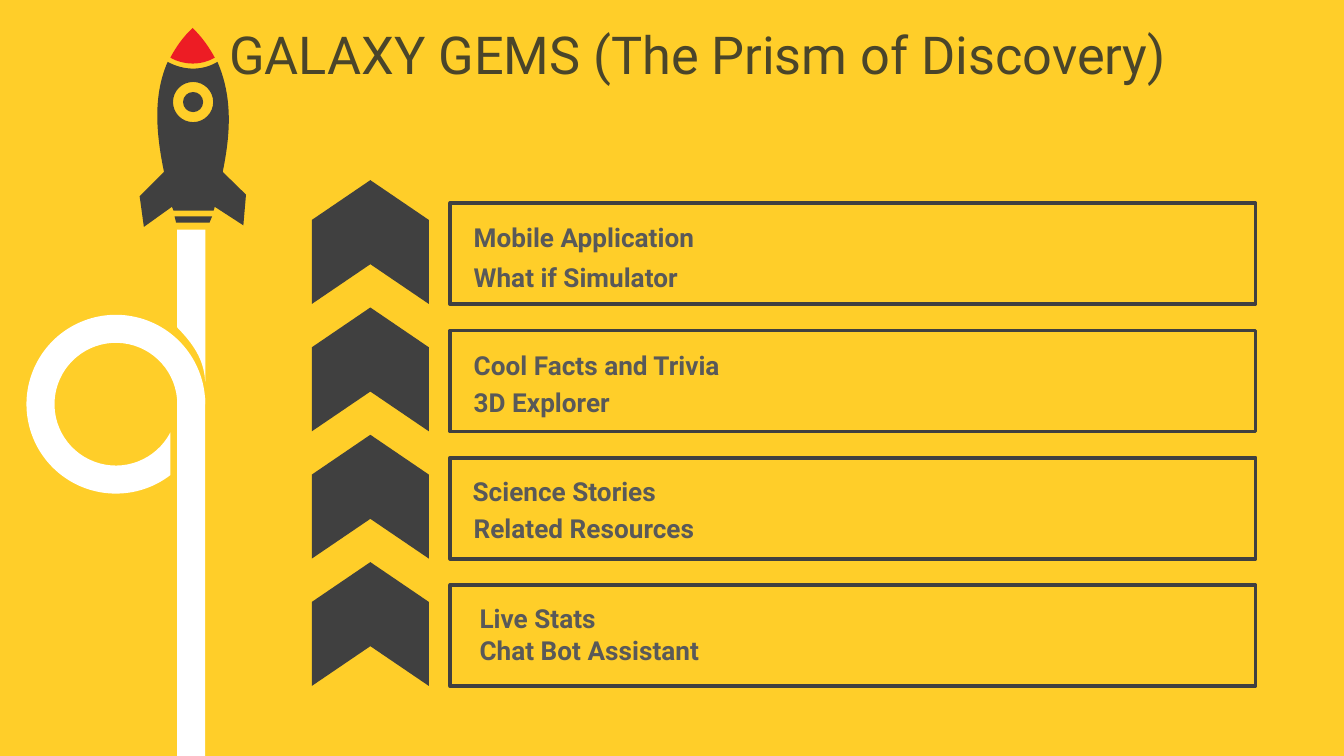
"""Build a rocket slide with four chevron steps."""
import math

from pptx import Presentation
from pptx import util as u
from pptx.dml.color import RGBColor
from pptx.enum import shapes, text
from pptx.oxml import ns

COLORS = {"bg": "FFCE29", "dark": "404040", "white": "FFFFFF",
          "red": "ED1C24", "body": "595959", "title": "4A452A"}
LABEL = {"size": u.Pt(14), "bold": True, "name": "Roboto"}
TITLE = {"size": u.Pt(28), "bold": False, "name": "Roboto"}
LABEL_FRAME = {"word_wrap": True, "auto_size": text.MSO_AUTO_SIZE.SHAPE_TO_FIT_TEXT,
               "vertical_anchor": text.MSO_ANCHOR.MIDDLE}
TITLE_FRAME = {"word_wrap": True, "auto_size": text.MSO_AUTO_SIZE.NONE,
               "vertical_anchor": text.MSO_ANCHOR.TOP}
STEPS = [
    [(["Mobile Application"], 0.15, 0.18, 0.89),
     (["What if Simulator"], 0.15, 0.94, 0.89)],
    [(["Cool Facts and Trivia"], 0.15, 0.18, 0.89),
     (["3D Explorer"], 0.15, 0.89, 0.89)],
    [(["Science Stories"], 0.13, 0.16, 0.89),
     (["Related Resources"], 0.15, 0.87, 0.89)],
    [(["Live Stats", "Chat Bot Assistant"], 0.23, 0.13, 1.52)],
]


def rgb(name):
    """Return the named colour."""
    return RGBColor.from_string(COLORS[name])


def apply(obj, values):
    """Set attributes of an object from a dict."""
    for key, value in values.items():
        setattr(obj, key, value)


def style(sp, fill=None, line=None):
    """Set fill and outline, and remove the shadow."""
    sp.shadow.inherit = False
    if fill:
        sp.fill.solid()
        sp.fill.fore_color.rgb = rgb(fill)
    else:
        sp.fill.background()
    if line:
        sp.line.color.rgb = rgb(line)
        sp.line.width = u.Pt(2)
    else:
        sp.line.fill.background()


def add_shape(parent, kind, box, **look):
    """Add a styled preset shape in a box given in centimetres."""
    sp = parent.shapes.add_shape(kind, *map(u.Cm, box))
    style(sp, **look)
    return sp


def write(sp, lines, frame, font, color):
    """Fill a shape with left-aligned paragraphs."""
    tf = sp.text_frame
    apply(tf, frame)
    tf.text = "\n".join(lines)
    for p in tf.paragraphs:
        p.alignment = text.PP_ALIGN.LEFT
        for r in p.runs:
            apply(r.font, font)
            r.font.color.rgb = rgb(color)


def arc(cx, cy, radius, start, end):
    """Return a start point and the Bezier segments of a circular arc."""
    count = math.ceil(abs(end - start) / (math.pi / 2) - 0.01)
    step = (end - start) / count
    k = 4 / 3 * math.tan(step / 4)

    def at(angle, tangent=0):
        c, n = math.cos(angle), math.sin(angle)
        return cx + radius * (c - tangent * n), cy + radius * (n + tangent * c)

    angles = [start + step * i for i in range(count)]
    return [[at(start)]] + [[at(a, k), at(a + step, -k), at(a + step)] for a in angles]


def add_outline(s, x, y, contours, fill):
    """Add a freeform whose segments hold one point (line) or three (curve)."""
    fb = None
    for segments in contours:
        points = [(u.Cm(px), u.Cm(py)) for seg in segments for px, py in seg]
        if fb:
            fb.move_to(*points[0])
        else:
            fb = s.shapes.build_freeform(*points[0])
        fb.add_line_segments(points[1:], close=True)
    sp = fb.convert_to_shape(u.Cm(x), u.Cm(y))
    style(sp, fill=fill)
    nodes = iter(list(sp.element.iter(ns.qn("a:lnTo"))))
    for segments in contours:
        for seg in segments[1:]:
            first, *rest = [next(nodes) for _ in seg]
            if rest:
                first.tag = ns.qn("a:cubicBezTo")
            for node in rest:
                first.append(node[0])
                node.getparent().remove(node)


def add_trail(s, x, y, w, h):
    """Draw the looped white trail."""
    band, r, cy = 0.53, w / 2, 3.3
    inner, cut, left = r - band, 1.03, w - band
    outer_end = math.acos(cut / r) - math.tau
    inner_start = math.acos(cut / inner) - math.tau
    loop = arc(r, cy, r, 0, outer_end) + arc(r, cy, inner, inner_start, 0)
    add_outline(s, x, y, [loop], "white")
    upper = [[(left, 0)], [(w, 0)], [(w, 2.87)],
             [(3.35, 2.44), (3.15, 2.16), (left, 1.85)]]
    add_outline(s, x, y, [upper], "white")
    add_shape(s, shapes.MSO_SHAPE.RECTANGLE,
              (x + left, y + 3.18, band, h - 3.18), fill="white")


def add_rocket(s, x, y):
    """Draw the rocket with its porthole, nozzle and nose."""
    body = [[(0.53, 0.64)],
            [(0.84, 0.81), (1.19, 0.81), (1.47, 0.64)],
            [(1.78, 1.35), (1.7, 2.08), (1.57, 2.72)],
            [(2.01, 3.15)], [(1.96, 3.73)], [(1.42, 3.38)], [(1.4, 3.45)],
            [(0.64, 3.45)], [(0.61, 3.38)], [(0.08, 3.76)], [(0, 3.18)],
            [(0.46, 2.72)],
            [(0.33, 2.08), (0.23, 1.32), (0.53, 0.64)]]
    porthole = [arc(1.01, 1.4, r, 0, math.tau) for r in (0.38, 0.19)]
    nozzle = [[(0.66, 3.56)], [(1.37, 3.56)], [(1.32, 3.68)], [(0.69, 3.68)]]
    add_outline(s, x, y, [nozzle, *porthole, body], "dark")
    nose = [[(1, 0)],
            [(1.19, 0.18), (1.32, 0.38), (1.42, 0.56)],
            [(1.17, 0.71), (0.84, 0.71), (0.58, 0.56)],
            [(0.69, 0.36), (0.81, 0.18), (1, 0)]]
    add_outline(s, x, y, [nose], "red")


def add_step(s, x, y, w, h, blocks):
    """Draw one chevron with its framed labels."""
    fx, fy = x + 2.68, y + 0.37
    add_shape(s, shapes.MSO_SHAPE.RECTANGLE, (fx, fy, w - 2.68, h), line="dark")
    group = s.shapes.add_group_shape()
    for lines, dx, dy, height in blocks:
        sp = add_shape(group, shapes.MSO_SHAPE.ROUND_2_SAME_RECTANGLE,
                       (fx + dx, fy + dy, 14, height))
        write(sp, lines, LABEL_FRAME, LABEL, "body")
    chevron = add_shape(s, shapes.MSO_SHAPE.CHEVRON, (x, y, 2.34, 2.21), fill="dark")
    chevron.rotation = 270
    chevron.adjustments[0] = 0.34


def add_title(s, x, y, w, h):
    """Place and format the title placeholder."""
    sp = s.shapes.title
    apply(sp, dict(zip(("left", "top", "width", "height"), map(u.Cm, (x, y, w, h)))))
    write(sp, ["GALAXY GEMS (The Prism of Discovery)"], TITLE_FRAME, TITLE, "title")


def main():
    """Build and save the slide."""
    prs = Presentation()
    apply(prs, {"slide_width": u.Cm(25.4), "slide_height": u.Cm(14.29)})
    s = prs.slides.add_slide(prs.slide_layouts[5])
    s.background.fill.solid()
    s.background.fill.fore_color.rgb = rgb("bg")
    add_title(s, 4.08, 0.3, 25.4, 1.6)
    add_trail(s, 0.5, 4.34, 3.38, 9.95)
    add_rocket(s, 2.64, 0.53)
    for i, blocks in enumerate(STEPS):
        add_step(s, 5.83, 3.47 + 7.22 * i / 3, 17.9, 1.91, blocks)
    prs.save("out.pptx")


if __name__ == "__main__":
    main()
